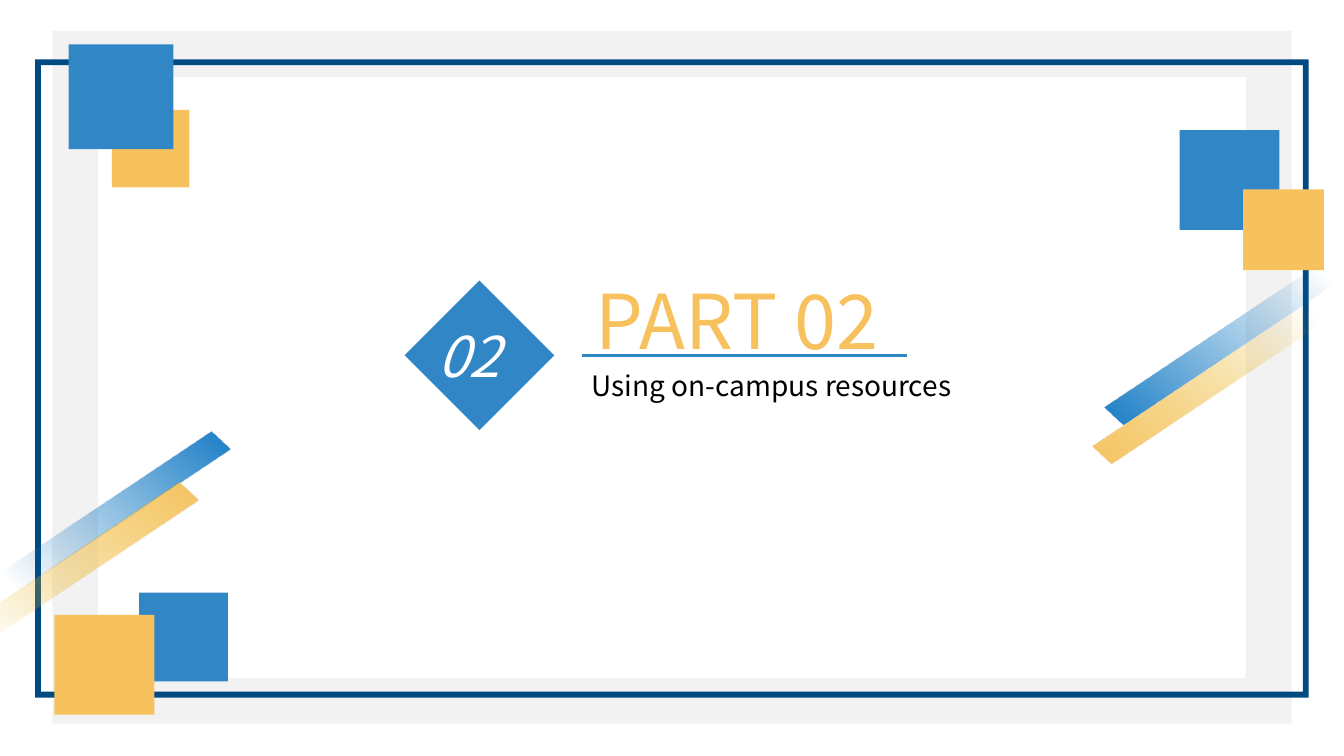
from dataclasses import dataclass

import lxml.etree
import pptx
import pptx.dml.color
import pptx.enum.shapes
import pptx.enum.text
import pptx.oxml
import pptx.oxml.ns
import pptx.util

Inches = pptx.util.Inches
Kind = pptx.enum.shapes.MSO_SHAPE


@dataclass(frozen=True)
class Theme:
    font: str = "Noto Sans CJK SC"
    blue: str = "3187C6"
    yellow: str = "F7C15D"
    navy: str = "004A82"
    grey: str = "F2F2F2"
    white: str = "FFFFFF"
    black: str = "000000"
    stripe_blue: str = "0070C0"
    stripe_amber: str = "E9AC01"
    title_size: int = 54
    number_size: int = 40
    subtitle_size: int = 20
    rule_width: int = 2


THEME = Theme()


def rgb(color):
    return pptx.dml.color.RGBColor.from_string(color)


def add_block(page, kind, left, top, width, height, color, adjust=None, turn=0):
    """Add a flat preset shape without an outline."""
    block = page.shapes.add_shape(
        kind, Inches(left), Inches(top), Inches(width), Inches(height))
    block.shadow.inherit = False
    block.fill.solid()
    block.fill.fore_color.rgb = rgb(color)
    block.line.fill.background()
    block.rotation = turn
    if adjust is not None:
        block.adjustments[0] = adjust
    return block


def add_stripe(page, left, top, turn, start, end):
    """Add a mirrored diagonal stripe that fades from start to a clear end."""
    stripe = add_block(page, Kind.DIAGONAL_STRIPE, left, top, 3.4, 0.81,
                       start, 0.678, turn)
    properties = stripe.element.spPr
    properties.find(pptx.oxml.ns.qn("a:xfrm")).set("flipH", "1")
    gradient = pptx.oxml.parse_xml(
        f'<a:gradFill {pptx.oxml.ns.nsdecls("a")} rotWithShape="1"><a:gsLst>'
        f'<a:gs pos="0"><a:srgbClr val="{start}"/></a:gs>'
        f'<a:gs pos="68000"><a:srgbClr val="{end}"><a:alpha val="0"/></a:srgbClr></a:gs>'
        '</a:gsLst><a:lin ang="0" scaled="0"/></a:gradFill>')
    solid = properties.find(pptx.oxml.ns.qn("a:solidFill"))
    properties.replace(solid, gradient)


def write_text(box, text, size, color, italic=None):
    """Fill a box with one unwrapped line, set from its top left corner."""
    frame = box.text_frame
    frame.text = text
    frame.word_wrap = False
    frame.auto_size = pptx.enum.text.MSO_AUTO_SIZE.SHAPE_TO_FIT_TEXT
    frame.vertical_anchor = pptx.enum.text.MSO_ANCHOR.TOP
    para = frame.paragraphs[0]
    para.alignment = pptx.enum.text.PP_ALIGN.LEFT
    span = para.runs[0]
    span.font.name = THEME.font
    span.font.size = pptx.util.Pt(size)
    span.font.color.rgb = rgb(color)
    span.font.italic = italic


def add_label(page, left, top, width, height, text, size, color, italic=None):
    box = page.shapes.add_textbox(
        Inches(left), Inches(top), Inches(width), Inches(height))
    write_text(box, text, size, color, italic)


def set_title(page, left, top, width, height, text):
    title = page.shapes.title
    title.left, title.top = Inches(left), Inches(top)
    title.width, title.height = Inches(width), Inches(height)
    write_text(title, text, THEME.title_size, THEME.yellow)


def add_rule(page, left, right, top):
    rule = page.shapes.add_connector(
        pptx.enum.shapes.MSO_CONNECTOR.STRAIGHT,
        Inches(left), Inches(top), Inches(right), Inches(top))
    rule.line.color.rgb = rgb(THEME.blue)
    rule.line.width = pptx.util.Pt(THEME.rule_width)
    lxml.etree.SubElement(rule.element.spPr, pptx.oxml.ns.qn("a:effectLst"))


def main():
    deck = pptx.Presentation()
    deck.slide_width, deck.slide_height = Inches(13.33), Inches(7.5)
    page = deck.slides.add_slide(deck.slide_layouts.get_by_name("Title Only"))

    # Frames around the page
    add_block(page, Kind.FRAME, 0.52, 0.31, 12.29, 6.87, THEME.grey, 0.066)
    add_block(page, Kind.FRAME, 0.35, 0.59, 12.63, 6.33, THEME.navy, 0.009)

    # Overlapping squares in the corners, back to front
    for left, top, side, color in (
        (11.7, 1.29, 0.99, THEME.blue),
        (1.11, 1.09, 0.77, THEME.yellow),
        (1.38, 5.88, 0.88, THEME.blue),
        (0.68, 0.44, 1.04, THEME.blue),
        (0.54, 6.1, 0.99, THEME.yellow),
        (12.33, 1.88, 0.8, THEME.yellow),
    ):
        add_block(page, Kind.RECTANGLE, left, top, side, side, color)

    # Section number in its diamond
    add_block(page, Kind.RECTANGLE, 4.23, 3, 1.05, 1.05, THEME.blue, turn=45)
    add_label(page, 4.24, 3.14, 0.86, 0.77, "02",
              THEME.number_size, THEME.white, italic=True)

    # Section heading
    add_label(page, 5.77, 3.61, 4, 0.44, "Using on-campus resources",
              THEME.subtitle_size, THEME.black)
    set_title(page, 5.81, 2.67, 3.16, 1.01, "PART 02")
    add_rule(page, 5.77, 9, 3.53)

    # Fading stripes: a blue and a yellow one on each side
    for turn, blue_place, yellow_place in (
        (312.9, (-0.87, 5.02), (-1.19, 5.53)),
        (132.9, (10.71, 2.66), (10.59, 3.05)),
    ):
        add_stripe(page, *blue_place, turn, THEME.stripe_blue, THEME.stripe_blue)
        add_stripe(page, *yellow_place, turn, THEME.yellow, THEME.stripe_amber)

    deck.save("out.pptx")


if __name__ == "__main__":
    main()
